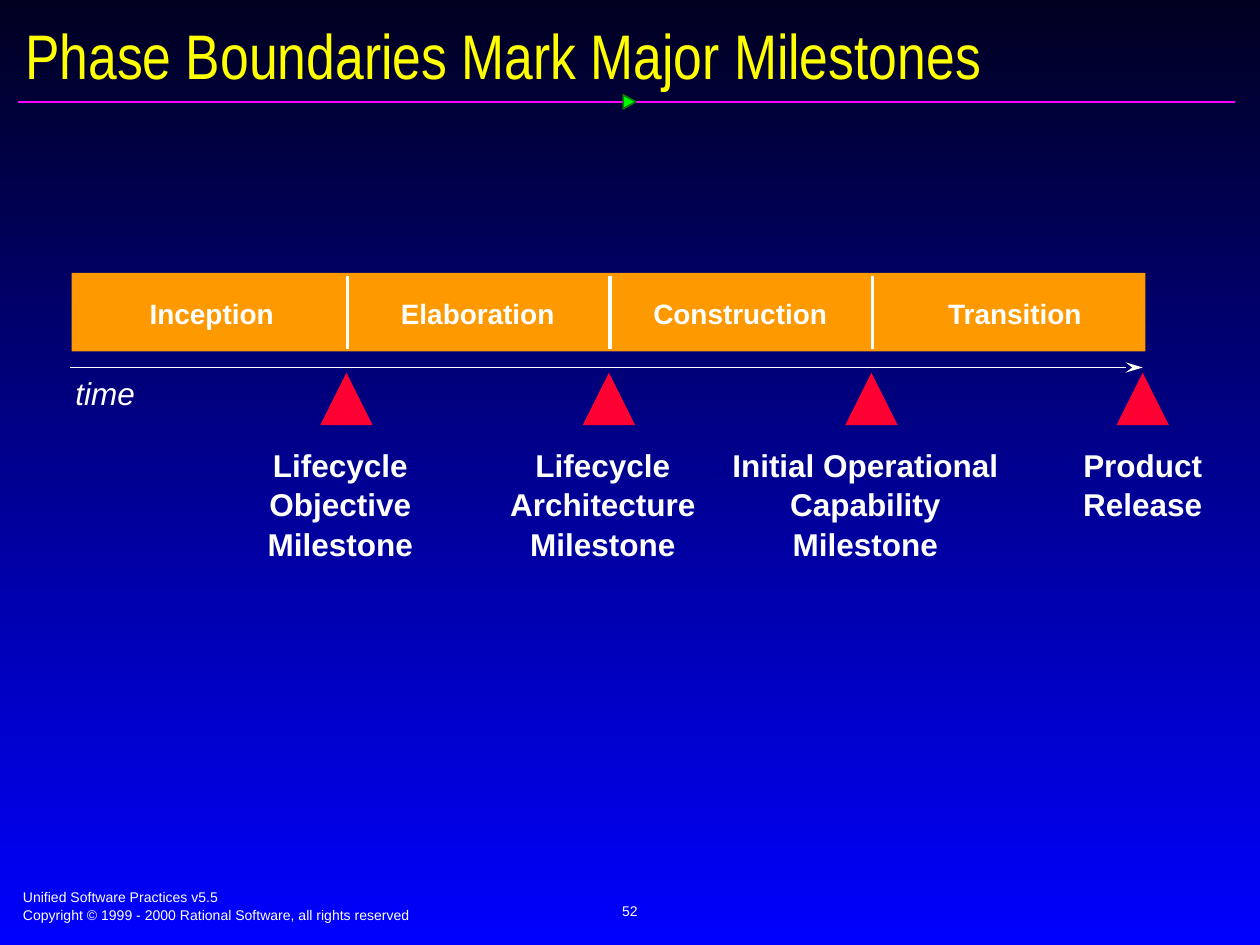
from lxml import etree
from pptx import Presentation
from pptx.dml.color import RGBColor
from pptx.enum.shapes import MSO_CONNECTOR, MSO_SHAPE
from pptx.enum.text import MSO_ANCHOR, MSO_AUTO_SIZE, PP_ALIGN
from pptx.oxml.ns import qn
from pptx.util import Pt

LEFT, CENTER = PP_ALIGN.LEFT, PP_ALIGN.CENTER
TOP, MIDDLE = MSO_ANCHOR.TOP, MSO_ANCHOR.MIDDLE
RECT, TRIANGLE = MSO_SHAPE.RECTANGLE, MSO_SHAPE.ISOSCELES_TRIANGLE
WHITE = "FFFFFF"

TITLE = "Phase Boundaries Mark Major Milestones"
FOOTER = ["Unified Software Practices v5.5",
          "Copyright © 1999 - 2000 Rational Software, all rights reserved"]
PAGE = "52"
# (name, label centre)
PHASES = [("Inception", 121), ("Elaboration", 273),
          ("Construction", 423), ("Transition", 580)]
# (lines, marker centre, label centre)
MILESTONES = [
    (["Lifecycle", "Objective", "Milestone"], 198, 194.5),
    (["Lifecycle", "Architecture", "Milestone"], 348, 344.5),
    (["Initial Operational", "Capability", "Milestone"], 498, 494.5),
    (["Product", "Release"], 653, 653),
]
BAR_X, BAR_Y, BAR_W, BAR_H = 41, 156, 613.5, 44.75
MARK = 30


def color(hex_code):
    return RGBColor.from_string(hex_code)


def add_text(slide, lines, x, y, w, h, size, align=LEFT, anchor=TOP,
             bold=False, italic=False):
    frame = slide.shapes.add_textbox(Pt(x), Pt(y), Pt(w), Pt(h)).text_frame
    frame.word_wrap = True
    frame.vertical_anchor = anchor
    frame.text = "\n".join(lines)
    for par in frame.paragraphs:
        par.alignment = align
        par.line_spacing = 1.05
        font = par.font
        font.name, font.size = "Arial", Pt(size)
        font.bold, font.italic = bold, italic
        font.color.rgb = color(WHITE)


def add_shape(slide, kind, x, y, w, h, fill):
    shape = slide.shapes.add_shape(kind, Pt(x), Pt(y), Pt(w), Pt(h))
    shape.shadow.inherit = False
    shape.fill.solid()
    shape.fill.fore_color.rgb = color(fill)
    shape.line.fill.background()
    return shape


def add_line(slide, x1, y1, x2, y2, tint, width):
    line = slide.shapes.add_connector(
        MSO_CONNECTOR.STRAIGHT, Pt(x1), Pt(y1), Pt(x2), Pt(y2))
    line.line.color.rgb = color(tint)
    line.line.width = Pt(width)
    etree.SubElement(line._element.spPr, qn("a:effectLst"))
    return line


def add_frame(slide):
    """Background, title, rule and footer."""
    back = slide.background.fill
    back.gradient()
    back.gradient_angle = 270
    for stop, tint in zip(back.gradient_stops, ("000021", "0000FF")):
        stop.color.rgb = color(tint)

    title = slide.shapes.title
    title.left, title.top = Pt(7.2), Pt(10)
    title.width, title.height = Pt(708.5), Pt(42)
    frame = title.text_frame
    frame.text = TITLE
    frame.auto_size = MSO_AUTO_SIZE.NONE
    frame.vertical_anchor = MIDDLE
    par = frame.paragraphs[0]
    par.alignment = LEFT
    par.font.name, par.font.size = "Arial Narrow", Pt(36)
    par.font.color.rgb = color("FFFF00")

    add_line(slide, 10.5, 58.2, 706, 58.2, "FF01FF", 1)
    mark = add_shape(slide, TRIANGLE, 355.7, 54.6, 8, 7.2, "00FF00")
    mark.rotation = 90
    mark.line.color.rgb = color("037C03")
    mark.line.width = Pt(1)

    add_text(slide, FOOTER, 6, 504, 367, 27, 8)
    add_text(slide, [PAGE], 246, 502.5, 228, 36, 8, CENTER, MIDDLE)


def add_phases(slide):
    add_shape(slide, RECT, BAR_X, BAR_Y, BAR_W, BAR_H, "FF9900")
    for _, x, _ in MILESTONES[:-1]:
        add_line(slide, x + 0.5, BAR_Y + 1.5, x + 0.5, BAR_Y + 43.5, WHITE, 2)
    for name, x in PHASES:
        add_text(slide, [name], x - 65, 165, 130, 27, 16, CENTER, bold=True)


def add_milestones(slide):
    for lines, x, mid in MILESTONES:
        add_shape(slide, TRIANGLE, x - MARK / 2, 213, MARK, MARK, "FF0033")
        wide = 172 if x < 600 else 120
        add_text(slide, lines, mid - wide / 2, 250, wide,
                 8 + 22 * len(lines), 18, CENTER, bold=True)


def add_time(slide):
    arrow = add_line(slide, 40, 210, 653, 210, WHITE, 1)
    etree.SubElement(arrow.line._get_or_add_ln(), qn("a:tailEnd"),
                     type="stealth", w="med", len="lg")
    add_text(slide, ["time"], 36, 209, 60, 29, 18, italic=True)


def main():
    deck = Presentation()
    deck.slide_width, deck.slide_height = Pt(720), Pt(540)
    slide = deck.slides.add_slide(deck.slide_layouts[5])
    add_frame(slide)
    add_phases(slide)
    add_milestones(slide)
    add_time(slide)
    deck.save("out.pptx")


if __name__ == "__main__":
    main()
